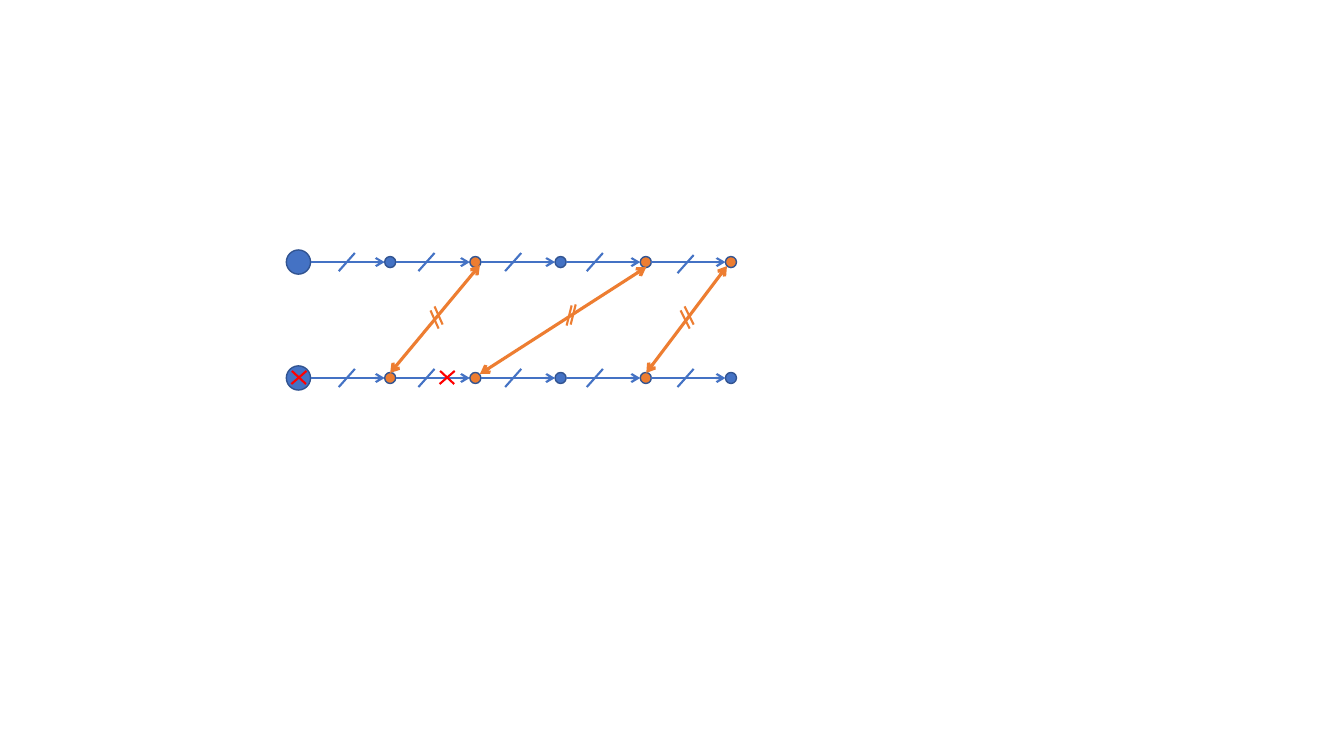
from lxml import etree
from pptx import Presentation
from pptx import util as u
from pptx.dml.color import RGBColor
from pptx.enum import shapes
from pptx.oxml.ns import qn

BLUE = RGBColor(0x44, 0x72, 0xC4)
OUTLINE = RGBColor(0x32, 0x54, 0x91)
ORANGE = RGBColor(0xED, 0x7D, 0x31)
RED = RGBColor(0xFF, 0x00, 0x00)

# Grid: a start node, then five evenly spaced nodes, on two rows (inches)
START_X, FIRST_X, STEP = 2.96, 3.87, 0.845
ROWS = (2.6, 3.75)
START_SIZE, NODE_SIZE = 0.24, 0.11
NODE_COLORS = (
    (BLUE, ORANGE, BLUE, ORANGE, ORANGE),
    (ORANGE, ORANGE, BLUE, ORANGE, BLUE),
)
TICK_XS = (3.44, 4.23, 5.09, 5.9, 6.8)
LAST_TICK_DROP = 0.02  # the last tick of the upper row sits a little lower

# Links between the rows: upper end, lower end
LINKS = (
    ((4.76, 2.63), (3.87, 3.7)),
    ((7.21, 2.64), (6.41, 3.7)),
    ((6.41, 2.65), (4.76, 3.71)),
)
# Double ticks on the links: centre, size of one stroke, gap between strokes
DOUBLE_TICKS = (
    ((4.33, 3.15), (0.08, 0.18), (0.04, -0.04)),
    ((6.815, 3.15), (0.09, 0.18), (0.04, -0.04)),
    ((5.665, 3.125), (-0.05, 0.2), (0.04, -0.01)),
)
CROSSES = ((2.965, 3.745), (4.435, 3.745))


def column(index):
    """Centre of the small node in this column."""
    return FIRST_X + index * STEP


def add_node(page, x, y, size, color):
    node = page.shapes.add_shape(
        shapes.MSO_SHAPE.OVAL, u.Inches(x - size / 2), u.Inches(y - size / 2),
        u.Inches(size), u.Inches(size))
    node.shadow.inherit = False
    node.fill.solid()
    node.fill.fore_color.rgb = color
    node.line.color.rgb = OUTLINE
    node.line.width = u.Pt(1)


def add_line(page, start, end, color, width=1.5, arrows=()):
    line = page.shapes.add_connector(
        shapes.MSO_CONNECTOR.STRAIGHT, *(u.Inches(v) for v in (*start, *end)))
    line.line.color.rgb = color
    line.line.width = u.Pt(width)
    outline = line.line._get_or_add_ln()
    for side in arrows:
        etree.SubElement(outline, qn(f"a:{side}"), type="arrow")
    etree.SubElement(line._element.spPr, qn("a:effectLst"))


def add_stroke(page, x, y, width, height, color):
    """Short line centred on a point; a negative width leans it right."""
    add_line(page, (x - width / 2, y - height / 2),
             (x + width / 2, y + height / 2), color)


def add_chain(page, y, colors):
    add_node(page, START_X, y, START_SIZE, BLUE)
    left = START_X + START_SIZE / 2
    for index, color in enumerate(colors):
        x = column(index)
        add_node(page, x, y, NODE_SIZE, color)
        add_line(page, (left, y), (x - NODE_SIZE / 2, y), BLUE,
                 arrows=("tailEnd",))
        left = x + NODE_SIZE / 2


def add_double_tick(page, center, size, gap):
    for side in (-0.5, 0.5):
        add_stroke(page, center[0] + side * gap[0],
                   center[1] + side * gap[1], *size, ORANGE)


def add_cross(page, x, y):
    for width in (0.14, -0.15):
        add_stroke(page, x, y, width, 0.13, RED)


def main():
    deck = Presentation()
    deck.slide_width, deck.slide_height = u.Inches(13.33), u.Inches(7.5)
    page = deck.slides.add_slide(deck.slide_layouts[6])

    # Two chains of nodes
    for y, colors in zip(ROWS, NODE_COLORS):
        add_chain(page, y, colors)

    # Links between the chains
    for upper, lower in LINKS:
        add_line(page, upper, lower, ORANGE, 2.25, ("headEnd", "tailEnd"))

    # Ticks on the chains and on the links
    for y in ROWS:
        for x in TICK_XS:
            lowered = y == ROWS[0] and x == TICK_XS[-1]
            add_stroke(page, x, y + LAST_TICK_DROP * lowered,
                       -0.16, 0.18, BLUE)
    for center, size, gap in DOUBLE_TICKS:
        add_double_tick(page, center, size, gap)

    # Failure marks
    for x, y in CROSSES:
        add_cross(page, x, y)

    deck.save("out.pptx")


if __name__ == "__main__":
    main()
